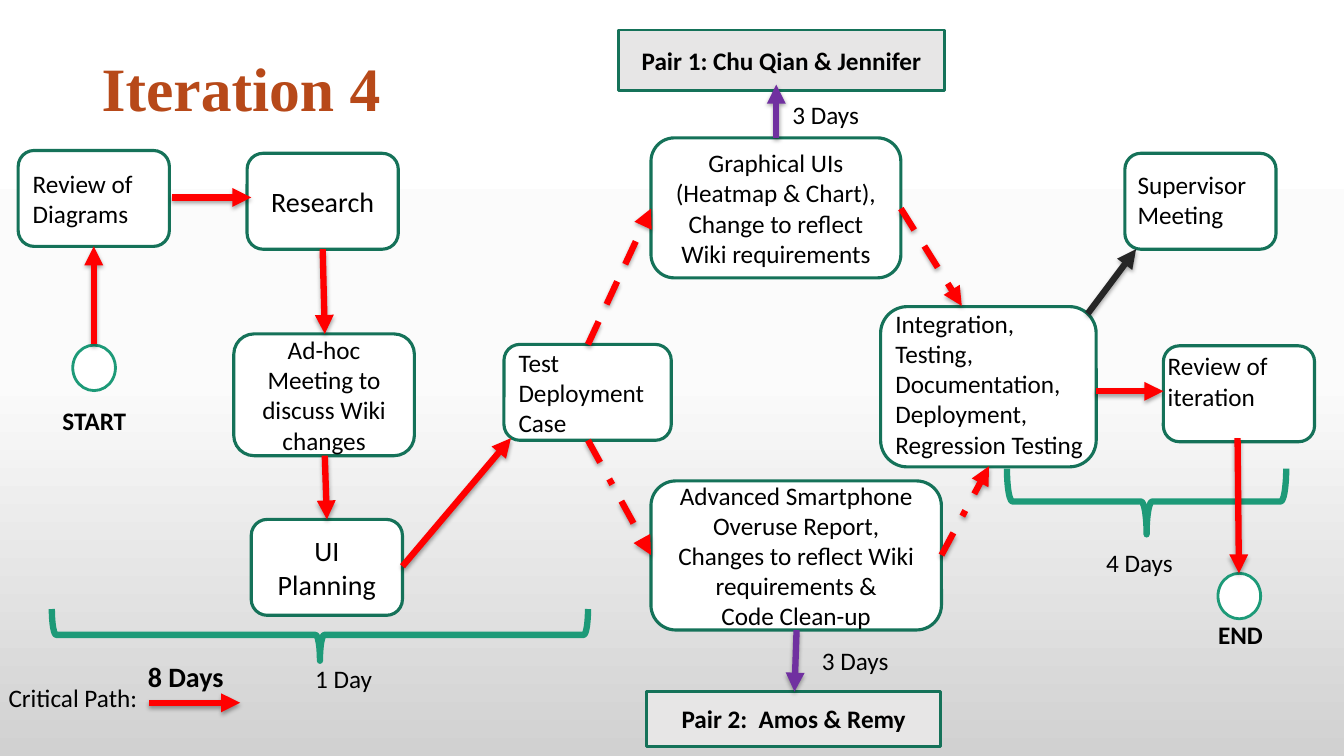
import copy
import lxml.etree
import pptx
import pptx.dml.color
import pptx.enum.dml
import pptx.enum.shapes
import pptx.enum.text
import pptx.oxml.ns
import pptx.util

Pt = pptx.util.Pt
RGBColor = pptx.dml.color.RGBColor
SHAPE = pptx.enum.shapes.MSO_SHAPE
DASH = pptx.enum.dml.MSO_LINE
LEFT = pptx.enum.text.PP_ALIGN.LEFT
CENTER = pptx.enum.text.PP_ALIGN.CENTER
TOP = pptx.enum.text.MSO_ANCHOR.TOP
MIDDLE = pptx.enum.text.MSO_ANCHOR.MIDDLE
qn = pptx.oxml.ns.qn

WHITE = RGBColor(0xFF, 0xFF, 0xFF)
OFF_WHITE = RGBColor(0xFB, 0xFB, 0xFB)
SILVER = RGBColor(0xD1, 0xD1, 0xD1)
PALE_GRAY = RGBColor(0xE7, 0xE6, 0xE6)
BLACK = RGBColor(0, 0, 0)
CHARCOAL = RGBColor(0x26, 0x26, 0x26)
DARK_GREEN = RGBColor(0x15, 0x72, 0x59)
GREEN = RGBColor(0x1D, 0x9A, 0x78)
RUST = RGBColor(0xB7, 0x49, 0x19)
RED = RGBColor(0xFF, 0, 0)
PURPLE = RGBColor(0x70, 0x30, 0xA0)

presentation = pptx.Presentation()
presentation.slide_width = Pt(960)
presentation.slide_height = Pt(540)
slide = presentation.slides.add_slide(presentation.slide_layouts[6])

background = slide.background.fill
background.gradient()
background.gradient_angle = 270
stop_list = slide.element.find(".//" + qn("a:gsLst"))
stop_list.insert(1, copy.deepcopy(stop_list[0]))
for stop, position, color in zip(background.gradient_stops, (0, 0.5, 1), (WHITE, OFF_WHITE, SILVER)):
    stop.position = position
    stop.color.rgb = color


def write_text(shape, text, size=18, bold=False, align=LEFT, anchor=TOP, font="Calibri", color=BLACK):
    frame = shape.text_frame
    frame.word_wrap = True
    frame.vertical_anchor = anchor
    frame.text = text
    for paragraph in frame.paragraphs:
        paragraph.alignment = align
        paragraph.font.name = font
        paragraph.font.size = Pt(size)
        paragraph.font.bold = bold
        paragraph.font.color.rgb = color


def add_outlined(kind, bounds, fill, line, width):
    shape = slide.shapes.add_shape(kind, *map(Pt, bounds))
    shape.shadow.inherit = False
    if fill is None:
        shape.fill.background()
    else:
        shape.fill.solid()
        shape.fill.fore_color.rgb = fill
    shape.line.color.rgb = line
    shape.line.width = Pt(width)
    return shape


title = slide.shapes.add_textbox(Pt(65.5), Pt(13), Pt(828), Pt(104.5))
write_text(title, "Iteration 4", 44, True, anchor=MIDDLE, font="Times New Roman", color=RUST)
title.text_frame.paragraphs[0].line_spacing = 0.9

pairs = [
    ("Pair 1: Chu Qian & Jennifer", (442, 21.5, 232.5, 43)),
    ("Pair 2:  Amos & Remy", (462, 494, 210, 39)),
]
for text, bounds in pairs:
    pair = add_outlined(SHAPE.RECTANGLE, bounds, PALE_GRAY, DARK_GREEN, 2)
    write_text(pair, text, bold=True, align=CENTER, anchor=MIDDLE)

tasks = [
    ("", (629, 219, 154, 114.5), 18, LEFT),
    ("", (831, 247, 108, 68.5), 18, LEFT),
    ("", (803.5, 109.5, 108, 68.5), 18, LEFT),
    ("Test Deployment Case", (360, 246, 119.5, 68.5), 18, LEFT),
    ("Review of Diagrams", (13, 107.5, 108, 68.5), 18, LEFT),
    ("Research", (176.5, 109.5, 108, 68.5), 20, CENTER),
    ("Advanced Smartphone\vOveruse Report,\vChanges to reflect Wiki\vrequirements &\nCode Clean-up",
     (465, 343.5, 207.5, 106.5), 18, CENTER),
    ("Graphical UIs\v(Heatmap & Chart),\vChange to reflect\vWiki requirements",
     (465, 98.5, 178.5, 100), 18, CENTER),
    ("Ad-hoc Meeting to discuss Wiki changes", (167, 238.5, 129, 87), 18, CENTER),
    ("UI Planning", (179.5, 371, 108, 68.5), 20, CENTER),
]
for text, bounds, size, align in tasks:
    task = add_outlined(SHAPE.ROUNDED_RECTANGLE, bounds, WHITE, DARK_GREEN, 2.25)
    if text:
        write_text(task, text, size, align=align, anchor=MIDDLE)

for left, top in [(52, 246.5), (870, 409.5)]:
    add_outlined(SHAPE.OVAL, (left, top, 30.5, 32.5), WHITE, GREEN, 2)

for bounds in [(210, 262, 37, 383), (795.5, 258.5, 47, 199.5)]:
    brace = add_outlined(SHAPE.RIGHT_BRACE, bounds, None, GREEN, 4.5)
    brace.rotation = 90

labels = [
    ("Supervisor Meeting", (805.5, 117.5, 95, 51), 18, False),
    ("Review of iteration", (827, 247, 99.5, 51), 18, False),
    ("Integration,\vTesting,\vDocumentation,\vDeployment,\vRegression Testing",
     (632.5, 216.5, 158.5, 116.5), 18, False),
    ("3 Days", (559, 67.5, 78, 29), 18, False),
    ("3 Days", (580, 457.5, 78, 29), 18, False),
    ("4 Days", (783, 387.5, 78, 29), 18, False),
    ("1 Day", (218, 470, 78, 29), 18, False),
    ("Critical Path:", (-1, 484, 214, 29), 18, False),
    ("START", (37.5, 286, 71, 29), 18, True),
    ("END", (863, 438.5, 48, 29), 18, True),
    ("8 Days", (98.5, 467.5, 85.5, 55.5), 20, True),
]
for text, bounds, size, bold in labels:
    label = slide.shapes.add_textbox(*map(Pt, bounds))
    write_text(label, text, size, bold)

arrows = [
    ((287.5, 404.5), (365, 313), RED, None),
    ((420, 246), (465, 149), RED, DASH.DASH),
    ((643.5, 149), (687, 218.5), RED, DASH.DASH),
    ((783, 279.5), (831, 279.5), RED, None),
    ((777, 224), (811.5, 178), CHARCOAL, None),
    ((420, 314.5), (465, 396.5), RED, DASH.DASH_DOT),
    ((672.5, 396.5), (706.5, 333), RED, DASH.DASH_DOT),
    ((67, 246), (67, 176), RED, None),
    ((569, 450), (567.5, 494), PURPLE, None),
    ((554.5, 98.5), (554.5, 60.5), PURPLE, None),
    ((106.5, 502), (171.5, 502), RED, None),
    ((884, 313), (885, 409.5), RED, None),
    ((123, 141), (179.5, 141), RED, None),
    ((230.5, 178), (232, 238.5), RED, None),
    ((232, 325.5), (233.5, 371), RED, None),
]
for start, end, color, dash in arrows:
    arrow = slide.shapes.add_connector(pptx.enum.shapes.MSO_CONNECTOR.STRAIGHT, *map(Pt, start + end))
    arrow.line.color.rgb = color
    arrow.line.width = Pt(4.5)
    if dash:
        arrow.line.dash_style = dash
    properties = arrow.element.spPr
    lxml.etree.SubElement(properties.find(qn("a:ln")), qn("a:tailEnd"), type="triangle")
    effects = lxml.etree.SubElement(properties, qn("a:effectLst"))
    shadow = lxml.etree.SubElement(effects, qn("a:outerShdw"), blurRad=str(Pt(3.1)),
                                   dist=str(Pt(1.8)), dir="5400000", rotWithShape="0")
    shade = lxml.etree.SubElement(shadow, qn("a:srgbClr"), val=str(BLACK))
    lxml.etree.SubElement(shade, qn("a:alpha"), val="35000")

presentation.save("out.pptx")
